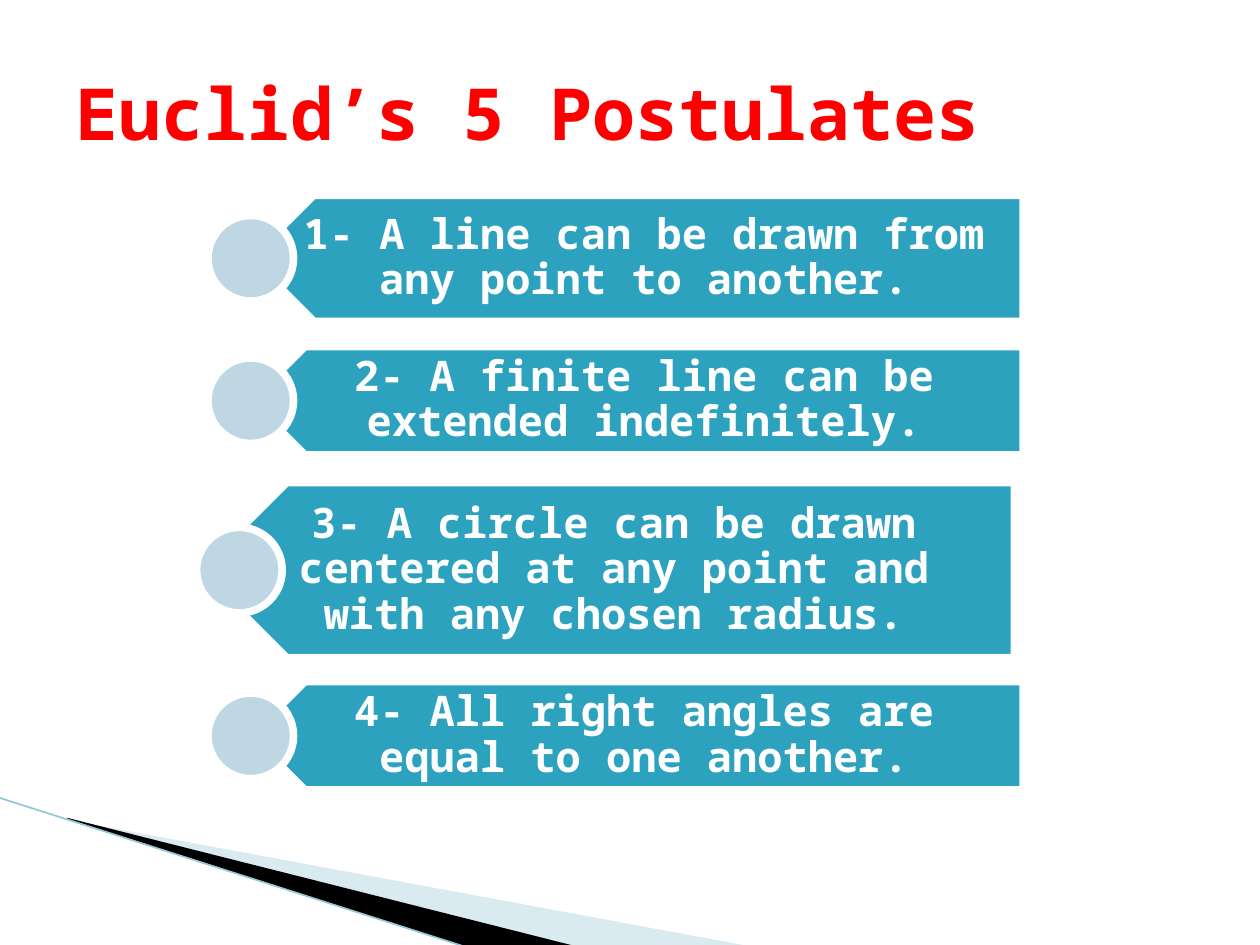
import pptx
import pptx.util
import pptx.dml.color
import pptx.enum.shapes
import pptx.enum.text
import pptx.oxml.ns
import lxml.etree

Inches = pptx.util.Inches
Pt = pptx.util.Pt
MSO_SHAPE = pptx.enum.shapes.MSO_SHAPE
PP_ALIGN = pptx.enum.text.PP_ALIGN
MSO_ANCHOR = pptx.enum.text.MSO_ANCHOR
qn = pptx.oxml.ns.qn


def rgb(value):
    return pptx.dml.color.RGBColor.from_string(value)


class Deck:
    font = "Noto Sans Mono"
    band = "2DA2BF"
    dot = "BED7E2"
    white = "FFFFFF"

    def __init__(self):
        self.prs = pptx.Presentation()
        self.prs.slide_width = Inches(10)
        self.prs.slide_height = Inches(7.5)
        self.s = self.prs.slides.add_slide(self.prs.slide_layouts[5])

    def run(self, p, text, size, color):
        r = p.add_run()
        r.text = text
        r.font.name = self.font
        r.font.size = Pt(size)
        r.font.bold = True
        r.font.color.rgb = rgb(color)

    def title(self, text, box):
        sp = self.s.shapes.title
        sp.left, sp.top, sp.width, sp.height = map(Inches, box)
        tf = sp.text_frame
        tf.vertical_anchor = MSO_ANCHOR.MIDDLE
        p = tf.paragraphs[0]
        p.alignment = PP_ALIGN.LEFT
        self.run(p, text, 41, "FF0000")

    def wedge(self, points, color, alpha=None):
        start, *rest = [(Inches(x), Inches(y)) for x, y in points]
        fb = self.s.shapes.build_freeform(*start)
        fb.add_line_segments(rest)
        sp = fb.convert_to_shape()
        sp.shadow.inherit = False
        sp.fill.solid()
        sp.fill.fore_color.rgb = rgb(color)
        sp.line.fill.background()
        if alpha is not None:
            clr = sp._element.spPr.find(qn("a:solidFill")).find(qn("a:srgbClr"))
            lxml.etree.SubElement(clr, qn("a:alpha")).set("val", str(alpha * 1000))

    def line(self, ends, color, width):
        c = self.s.shapes.add_connector(
            pptx.enum.shapes.MSO_CONNECTOR.STRAIGHT, *map(Inches, ends))
        c.line.color.rgb = rgb(color)
        c.line.width = Pt(width)
        lxml.etree.SubElement(c._element.spPr, qn("a:effectLst"))

    def shape(self, kind, box, color):
        sp = self.s.shapes.add_shape(kind, *map(Inches, box))
        sp.shadow.inherit = False
        sp.fill.solid()
        sp.fill.fore_color.rgb = rgb(color)
        sp.line.color.rgb = rgb(self.white)
        sp.line.width = Pt(4.33)
        return sp

    def label(self, text, box):
        tf = self.s.shapes.add_textbox(*map(Inches, box)).text_frame
        tf.word_wrap = True
        tf.vertical_anchor = MSO_ANCHOR.MIDDLE
        tf.margin_left, tf.margin_right = Inches(0.3), Inches(0.19)
        tf.margin_top = tf.margin_bottom = Inches(0.1)
        p = tf.paragraphs[0]
        p.alignment = PP_ALIGN.CENTER
        p.line_spacing = 0.9
        self.run(p, text, 24, self.white)

    def postulate(self, text, box, dot_left, dot_size=0.68):
        left, top, width, height = box
        self.shape(MSO_SHAPE.PENTAGON, box, self.band).rotation = 180
        self.label(text, box)
        dot_top = top + (height - dot_size) / 2
        self.shape(MSO_SHAPE.OVAL, (dot_left, dot_top, dot_size, dot_size), self.dot)


def main():
    d = Deck()
    d.wedge([(0.55, 6.51), (5.95, 7.51), (4.56, 7.51), (0.55, 6.5)], "A0CBDC", 40)
    d.wedge([(0.53, 6.49), (4.57, 7.51), (3.72, 7.52), (0.54, 6.5)], "000000")
    d.line((-0.01, 6.33, 3.71, 7.52), "97C5D8", 0.95)
    d.title("Euclid’s 5 Postulates", (0.5, 0.3, 9, 1.17))
    for text, box, dot_left in [
        ("1- A line can be drawn from any point to another.",
         (1.99, 1.55, 6.13, 1), 1.65),
        ("2- A finite line can be extended indefinitely.",
         (1.99, 2.75, 6.13, 0.86), 1.65),
        ("3- A circle can be drawn centered at any point and with any chosen radius.",
         (1.58, 3.83, 6.47, 1.39), 1.56),
        ("4- All right angles are equal to one another.",
         (1.99, 5.41, 6.13, 0.86), 1.65),
    ]:
        d.postulate(text, box, dot_left)
    d.prs.save("out.pptx")


if __name__ == "__main__":
    main()
